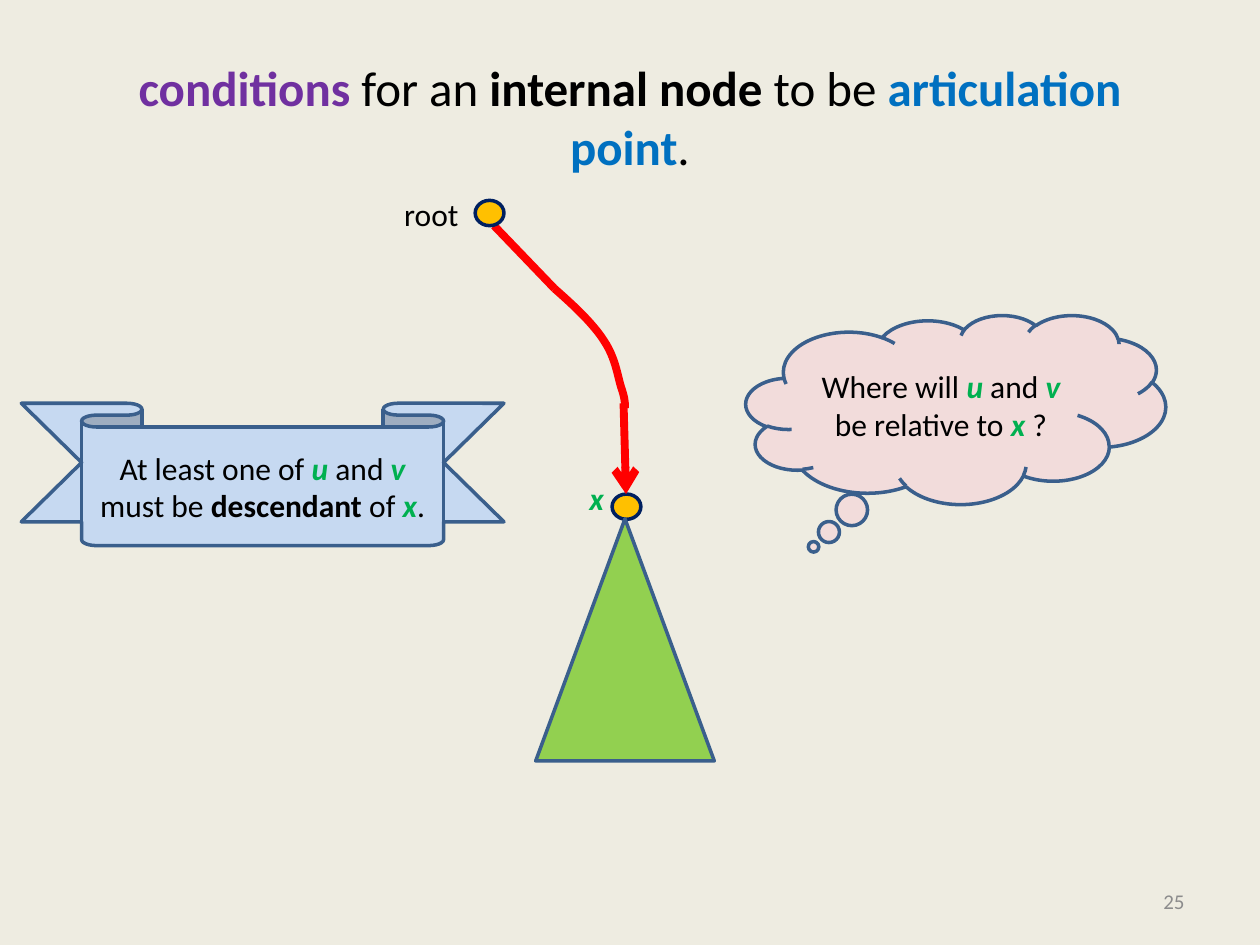
from lxml import etree
from pptx import Presentation
from pptx import util as u
from pptx.dml.color import RGBColor
from pptx.enum import shapes, text
from pptx.oxml import ns

Cm = u.Cm
CREAM = RGBColor(0xEE, 0xEC, 0xE1)
BLACK = RGBColor(0x00, 0x00, 0x00)
GRAY = RGBColor(0x8C, 0x8C, 0x8C)
PURPLE = RGBColor(0x70, 0x30, 0xA0)
BLUE = RGBColor(0x00, 0x70, 0xC0)
GREEN = RGBColor(0x00, 0xB0, 0x50)
NAVY = RGBColor(0x00, 0x20, 0x60)
STEEL = RGBColor(0x3A, 0x5F, 0x8C)
AMBER = RGBColor(0xFF, 0xC0, 0x00)
LIME = RGBColor(0x92, 0xD0, 0x50)
SKY = RGBColor(0xC6, 0xD9, 0xF1)
PINK = RGBColor(0xF2, 0xDC, 0xDB)
RED = RGBColor(0xFF, 0x00, 0x00)

PLAIN = {}
BOLD = {"bold": True}
VERTEX = {"bold": True, "italic": True, "color": GREEN}
CENTER, RIGHT, LEFT = text.PP_ALIGN.CENTER, text.PP_ALIGN.RIGHT, text.PP_ALIGN.LEFT
MIDDLE, TOP = text.MSO_ANCHOR.MIDDLE, text.MSO_ANCHOR.TOP
PRESET = shapes.MSO_SHAPE


def bezier(p0, p1, p2, p3, steps=12):
    for i in range(1, steps + 1):
        t = i / steps
        s = 1 - t
        yield tuple(s**3 * a + 3 * s * s * t * b + 3 * s * t * t * c + t**3 * d
                    for a, b, c, d in zip(p0, p1, p2, p3))


class Deck:
    font = "Calibri"
    outline_width = u.Pt(2)
    path_width = u.Pt(4.5)

    def __init__(self, width, height):
        self.prs = Presentation()
        self.prs.slide_width, self.prs.slide_height = Cm(width), Cm(height)
        self.s = self.prs.slides.add_slide(self.prs.slide_layouts[6])
        self.s.background.fill.solid()
        self.s.background.fill.fore_color.rgb = CREAM

    def add_runs(self, sp, runs, size=18, color=BLACK, align=CENTER, anchor=MIDDLE, wrap=True):
        tf = sp.text_frame
        for name, value in {"word_wrap": wrap, "vertical_anchor": anchor}.items():
            setattr(tf, name, value)
        p = tf.paragraphs[0]
        p.alignment = align
        for words, style in runs:
            r = p.add_run()
            r.text = words
            look = {"name": self.font, "size": u.Pt(size), **style}
            r.font.color.rgb = look.pop("color", color)
            for name, value in look.items():
                setattr(r.font, name, value)

    def label(self, box, runs, **layout):
        self.add_runs(self.s.shapes.add_textbox(*map(Cm, box)), runs, **layout)

    def shape(self, kind, box, fill, line=STEEL, adjust=(), runs=()):
        sp = self.s.shapes.add_shape(kind, *map(Cm, box))
        sp.shadow.inherit = False
        sp.fill.solid()
        sp.fill.fore_color.rgb = fill
        sp.line.color.rgb = line
        sp.line.width = self.outline_width
        for i, value in enumerate(adjust):
            sp.adjustments[i] = value
        if runs:
            self.add_runs(sp, runs)

    def node(self, left, top):
        self.shape(PRESET.OVAL, (left, top, 0.58, 0.51), AMBER, NAVY)

    def stroke(self, sp):
        sp.line.color.rgb = RED
        sp.line.width = self.path_width

    def line(self, start, end, arrow=False):
        sp = self.s.shapes.add_connector(shapes.MSO_CONNECTOR.STRAIGHT, *map(Cm, start + end))
        self.stroke(sp)
        props = sp._element.spPr
        if arrow:
            etree.SubElement(props.find(ns.qn("a:ln")), ns.qn("a:tailEnd"), type="arrow")
        etree.SubElement(props, ns.qn("a:effectLst"))

    def curve(self, start, *segments):
        points, here = [], start
        for segment in segments:
            points += bezier(here, *segment)
            here = segment[-1]
        builder = self.s.shapes.build_freeform(*map(Cm, start))
        builder.add_line_segments([(Cm(x), Cm(y)) for x, y in points], close=False)
        sp = builder.convert_to_shape()
        sp.shadow.inherit = False
        sp.fill.background()
        self.stroke(sp)


def main():
    deck = Deck(25.4, 19.05)
    deck.label((1.27, 0.76, 22.86, 3.18), [
        ("conditions ", {"bold": True, "color": PURPLE}), ("for an ", PLAIN),
        ("internal node ", BOLD), ("to be ", PLAIN),
        ("articulation point", {"bold": True, "color": BLUE}), (".", PLAIN)], size=28)
    deck.label((18.21, 17.65, 5.92, 1.02), [("25", PLAIN)], size=12, color=GRAY, align=RIGHT)

    tag = {"align": LEFT, "anchor": TOP, "wrap": False}
    deck.node(12.34, 9.96)
    deck.label((11.63, 9.53, 0.81, 1.02), [("x", VERTEX)], **tag)
    deck.shape(PRESET.ISOSCELES_TRIANGLE, (10.8, 10.46, 3.6, 4.88), LIME)

    deck.line((12.57, 8.13), (12.62, 9.96), arrow=True)
    bend = (11.18, 5.82)
    deck.curve(bend,
               ((11.58, 6.17), (11.96, 6.53), (12.17, 6.86)),
               ((12.4, 7.19), (12.45, 7.57), (12.52, 7.8)),
               ((12.6, 8.03), (12.6, 8.13), (12.6, 8.23)))
    deck.line((9.96, 4.55), bend)
    deck.node(9.58, 4.04)
    deck.label((7.9, 3.81, 1.63, 1.02), [("root", PLAIN)], **tag)

    deck.shape(PRESET.DOWN_RIBBON, (0.43, 8.13, 9.73, 2.87), SKY, adjust=(0.167, 0.75), runs=[
        ("At least one of ", PLAIN), ("u", VERTEX), (" and ", PLAIN), ("v", VERTEX),
        (" must be ", PLAIN), ("descendant", BOLD), (" of ", PLAIN), ("x", VERTEX), (".", PLAIN)])
    deck.shape(PRESET.CLOUD_CALLOUT, (15.04, 6.35, 8.46, 3.81), PINK, adjust=(-0.339, 0.727), runs=[
        ("Where will ", PLAIN), ("u ", VERTEX), ("and ", PLAIN), ("v ", VERTEX),
        ("be relative to ", PLAIN), ("x ", VERTEX), ("?", PLAIN)])
    deck.prs.save("out.pptx")


if __name__ == "__main__":
    main()
